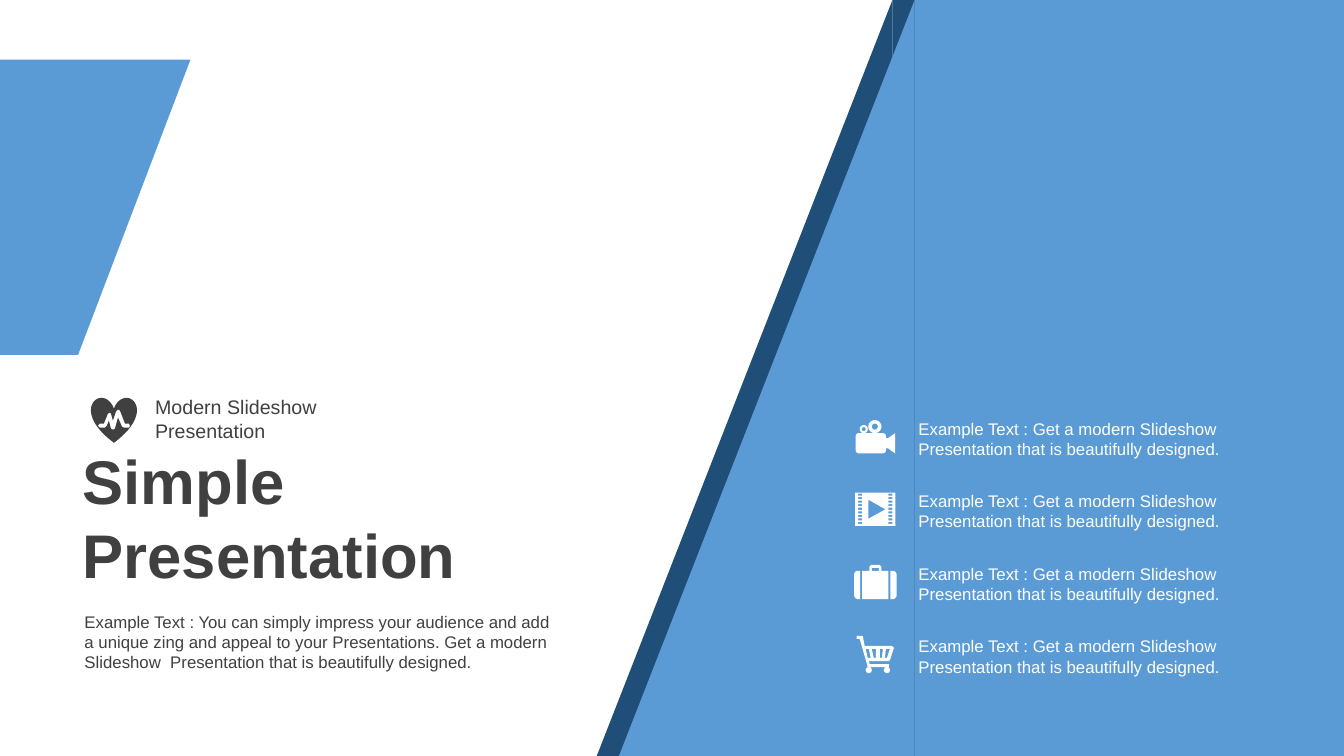
import math
import pptx
import pptx.util
import pptx.dml.color
import pptx.enum.shapes
import pptx.enum.text

SHAPE = pptx.enum.shapes.MSO_SHAPE
ANCHOR = pptx.enum.text.MSO_ANCHOR
BLUE, NAVY, WHITE, GREY = "5B9BD5", "1F4E79", "FFFFFF", "404040"
UNIT = 9144  # icon points are hundredths of an inch


def sub(box, x, y, w, h):
    """Part of a box, given in percent of its size."""
    left, top, wide, high = box
    return (left + wide * x / 100, top + high * y / 100,
            wide * w / 100, high * h / 100)


def emu(box):
    return [pptx.util.Emu(round(v)) for v in box]


def tint(shape, color):
    shape.shadow.inherit = False
    shape.fill.solid()
    shape.fill.fore_color.rgb = pptx.dml.color.RGBColor.from_string(color)
    shape.line.fill.background()


def write(shape, text, size, color, bold=False, anchor=ANCHOR.MIDDLE):
    frame = shape.text_frame
    frame.text = text
    frame.word_wrap = True
    frame.auto_size = pptx.enum.text.MSO_AUTO_SIZE.NONE
    frame.vertical_anchor = anchor
    line = frame.paragraphs[0]
    line.alignment = pptx.enum.text.PP_ALIGN.LEFT
    line.font.name = "Arial"
    line.font.size = pptx.util.Pt(size)
    line.font.bold = bold
    line.font.color.rgb = pptx.dml.color.RGBColor.from_string(color)


def label(slide, box, text, size, color):
    write(slide.shapes.add_textbox(*emu(box)), text, size, color)


def trace(slide, loops, color, left=0, top=0):
    """Draw closed outlines as one shape; inner loops become holes."""
    pen = slide.shapes.build_freeform(*loops[0][0])
    for i, loop in enumerate(loops):
        if i:
            pen.move_to(*loop[0])
        pen.add_line_segments(loop[1:], close=True)
    tint(pen.convert_to_shape(round(left), round(top)), color)


def icon(slide, box, loops, color):
    """Centre an icon in a box."""
    xs, ys = zip(*[dot for loop in loops for dot in loop])
    x, y, w, h = box
    left = x + w / 2 - (min(xs) + max(xs)) / 2 * UNIT
    top = y + h / 2 - (min(ys) + max(ys)) / 2 * UNIT
    scaled = [[(a * UNIT, b * UNIT) for a, b in loop] for loop in loops]
    trace(slide, scaled, color, left, top)


def rect(x, y, w, h):
    return [(x, y), (x + w, y), (x + w, y + h), (x, y + h)]


def arc(x, y, w, h, r):
    """Rectangle with round corners."""
    mids = [(x + w - r, y + h - r), (x + r, y + h - r),
            (x + r, y + r), (x + w - r, y + r)]
    return [(cx + r * math.cos(math.radians(90 * i + a)),
             cy + r * math.sin(math.radians(90 * i + a)))
            for i, (cx, cy) in enumerate(mids) for a in range(0, 91, 15)]


def ring(cx, cy, r):
    return arc(cx - r, cy - r, 2 * r, 2 * r, r)


def curve(a, b, c, d, steps=24):
    dots = []
    for i in range(steps + 1):
        t = i / steps
        u = 1 - t
        dots.append(tuple(u**3 * p + 3 * u * u * t * q + 3 * u * t * t * r + t**3 * s
                          for p, q, r, s in zip(a, b, c, d)))
    return dots


def flip(loop, width):
    return [(width - x, y) for x, y in loop]


def heart():
    half = curve((23, 10), (33, -16), (69, 10), (23, 44))
    pulse = [(27, 11), (25, 13), (22, 22), (20, 15), (19, 14), (17, 15),
             (13, 25), (9, 25), (7, 27), (9, 29), (14, 29), (16, 27),
             (18, 22), (20, 30), (22, 31), (24, 30), (27, 19), (31, 28),
             (33, 29), (38, 29), (39, 27), (38, 25), (34, 25), (29, 12)]
    return [half + flip(half, 46)[::-1], pulse]


def camera():
    lens = [(30, 18), (32, 18), (39, 13), (39, 33), (32, 28), (30, 28)]
    return [arc(0, 13, 30, 20, 3), lens, ring(19, 6.5, 6.5), ring(19, 6.5, 3),
            ring(8, 9, 4), ring(8, 9, 2)]


def film():
    holes = [rect(x, 1 + 3.5 * i, 4, 2) for x in (3, 33) for i in range(9)]
    return [rect(0, 0, 40, 33), [(13, 7), (13, 26), (30, 16.5)]] + holes


def case():
    side = [(3, 6), (6, 6), (6, 34), (3, 34), (1, 33), (0, 31), (0, 9), (1, 7)]
    body = [(8, 6), (15, 6), (15, 2), (17, 0), (25, 0), (27, 2), (27, 6),
            (34, 6), (34, 34), (8, 34)]
    return [side, flip(side, 42), body, rect(17.5, 3, 7, 3)]


def cart():
    frame = [(6, 0), (8, 10), (35, 10), (37, 12), (33, 24), (32, 25), (12, 25),
             (13, 28), (32, 28), (32, 31), (11, 31), (3, 3), (0, 3), (0, 0)]
    slots = [[(9, 13), (12, 13), (14, 22), (11, 22)],
             [(15, 13), (19, 13), (19, 22), (17, 22)],
             [(23, 13), (26, 13), (25, 22), (23, 22)],
             [(29, 13), (33, 13), (30, 22), (28, 22)]]
    return [frame, ring(12, 34, 3), ring(30, 34, 3)] + slots


def panel(slide, box, slope, color):
    """Block whose left edge slants over the given share of the page."""
    x, y, w, h = box
    block = slide.shapes.add_shape(
        SHAPE.RECTANGLE, *emu((x + slope, y, w - slope, h)))
    wedge = slide.shapes.add_shape(SHAPE.RIGHT_TRIANGLE, *emu(
        (x + (slope - h) / 2, y + (h - slope) / 2, h, slope)))
    wedge.rotation = 270
    tint(block, color)
    tint(wedge, color)


def back(slide, page):
    slope = page[2] * 0.22
    for left, color in ((44.4, NAVY), (46.05, BLUE)):
        panel(slide, sub(page, left, 0, 100 - left, 100), slope, color)
    x, y, w, h = sub(page, 0, 7.9, 14.17, 39.05)
    trace(slide, [[(x, y), (x + w, y), (x + w * 0.41, y + h), (x, y + h)]], BLUE)


def lead(slide, box):
    icon(slide, sub(box, 3.3, 2.8, 9.5, 15.5), heart(), GREY)
    label(slide, sub(box, 14.43, 0, 42.27, 20),
          "Modern Slideshow  Presentation", 14, GREY)
    title = slide.shapes.title
    title.left, title.top, title.width, title.height = emu(
        sub(box, 0, 18.25, 82.5, 52))
    write(title, "Simple Presentation", 44, GREY, True, ANCHOR.TOP)
    frame = title.text_frame
    frame.margin_left = pptx.util.Inches(0.08)
    frame.margin_right = pptx.util.Inches(0.04)
    frame.margin_top = frame.margin_bottom = 0
    label(slide, sub(box, 0, 75.1, 100, 24.9),
          "Example Text : You can simply impress your audience and add a unique "
          "zing and appeal to your Presentations. Get a modern Slideshow  "
          "Presentation that is beautifully designed.", 12, GREY)


def items(slide, box):
    for i, draw in enumerate((camera, film, case, cart)):
        row = sub(box, 0, 27.07 * i, 100, 18.8)
        icon(slide, sub(row, 0, 0, 11, 93), draw(), WHITE)
        label(slide, sub(row, 14.1, 0, 85.9, 100),
              "Example Text : Get a modern Slideshow  "
              "Presentation that is beautifully designed.", 12, WHITE)


def main():
    deck = pptx.Presentation()
    deck.slide_width = pptx.util.Inches(13.33)
    deck.slide_height = pptx.util.Inches(7.5)
    slide = deck.slides.add_slide(deck.slide_layouts[5])
    page = (0, 0, deck.slide_width, deck.slide_height)
    back(slide, page)
    items(slide, sub(page, 63.55, 54.67, 28.73, 35.47))
    lead(slide, sub(page, 5.55, 51.6, 36.38, 38))
    deck.save("out.pptx")


if __name__ == "__main__":
    main()
